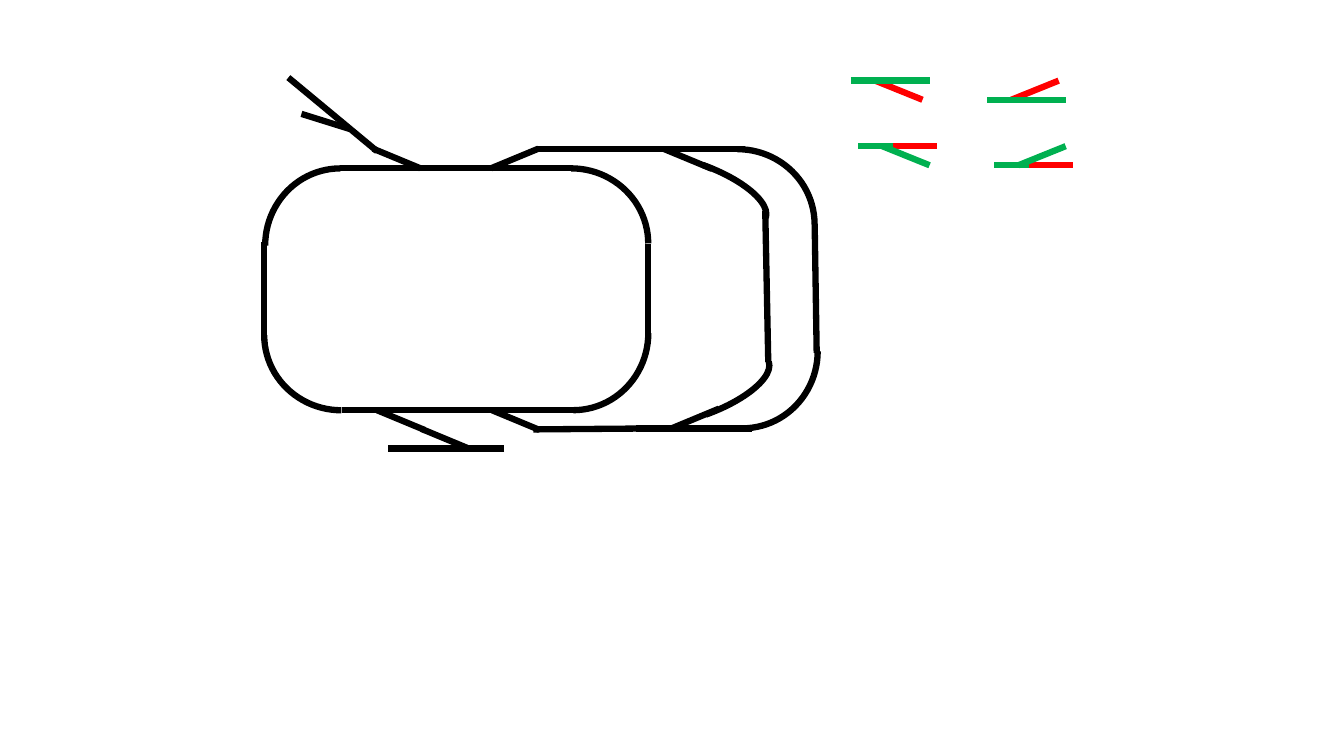
from lxml import etree
from pptx import Presentation
from pptx import util as u
from pptx.dml import color
from pptx.enum import shapes
from pptx.oxml import ns

BLACK, RED, GREEN = "000000", "FF0000", "00B050"


def rgb(value):
    """Turn a hex string into a colour."""
    return color.RGBColor.from_string(value)


class TrackPlan:
    """Draws the parts of a railway layout on one slide."""

    def __init__(self, slide, width=4.5):
        self.slide = slide
        self.width = u.Pt(width)

    def ink(self, part, hue):
        """Apply the track stroke to a part."""
        part.line.color.rgb = rgb(hue)
        part.line.width = self.width

    def rails(self, *tracks):
        """Draw straight tracks, grouped when there are several."""
        parent = self.slide.shapes
        if len(tracks) > 1:
            parent = parent.add_group_shape().shapes
        for hue, *ends in tracks:
            rail = parent.add_connector(
                shapes.MSO_CONNECTOR.STRAIGHT, *map(u.Inches, ends))
            self.ink(rail, hue)
            etree.SubElement(rail._element.spPr, ns.qn("a:effectLst"))

    def curve(self, left, top, turn, height=1.49, flipped=False):
        """Draw a quarter curve of track."""
        bend = self.slide.shapes.add_shape(
            shapes.MSO_SHAPE.ARC, *map(u.Inches, (left, top, 1.53, height)))
        bend.shadow.inherit = False
        bend.fill.background()
        self.ink(bend, BLACK)
        bend.rotation = turn
        if flipped:
            bend._element.spPr.xfrm.set("flipV", "1")

    def turnout(self, x, y, ahead, side):
        """Draw a main track with a branch leaving it."""
        self.rails(
            (BLACK, x, y, x + 1.15 * ahead, y),
            (BLACK, x + 0.35 * ahead, y, x + 0.82 * ahead, y + 0.195 * side))

    def switch_key(self, x, y, side, diverging):
        """Draw a switch with its open route in green."""
        main = (x, y, x + 0.78, y)
        branch = (x + 0.24, y, x + 0.71, y + 0.19 * side)
        if diverging:
            self.rails((RED, *main), (GREEN, *branch),
                       (GREEN, x, y, x + 0.35, y))
        else:
            self.rails((RED, *branch), (GREEN, *main))


def main():
    """Build the track plan slide."""
    deck = Presentation()
    deck.slide_width, deck.slide_height = u.Inches(13.33), u.Inches(7.5)
    plan = TrackPlan(deck.slides.add_slide(deck.slide_layouts[6]))

    inner_loop = [(4.9, 1.67, 0), (2.62, 2.58, 180),
                  (4.92, 2.56, 90), (2.61, 1.69, 270)]
    outer_loop = [(6.55, 1.48, 0), (6.6, 2.74, 90)]
    for bend in inner_loop + outer_loop:
        plan.curve(*bend)
    plan.curve(6.11, 1.62, 19.7, height=0.57)
    plan.curve(6.14, 3.56, 340.3, height=0.57, flipped=True)

    turnouts = [(4.52, 1.67, -1, -1), (4.52, 1.67, 1, -1),
                (3.39, 4.07, 1, 1), (4.53, 4.07, 1, 1),
                (5, 4.45, -1, -1), (6.31, 4.25, 1, -1),
                (6.24, 1.48, 1, 1)]
    for turnout in turnouts:
        plan.turnout(*turnout)
    plan.rails((BLACK, 3.74, 1.5, 2.86, 0.77), (BLACK, 3.47, 1.28, 2.99, 1.13))

    straights = [(2.62, 2.4, 2.62, 3.35), (6.43, 2.42, 6.43, 3.37),
                 (5.33, 1.48, 6.55, 1.48), (5.29, 4.26, 6.52, 4.25),
                 (8.1, 3.5, 8.08, 2.22), (7.62, 3.59, 7.59, 2.09)]
    for ends in straights:
        plan.rails((BLACK, *ends))

    plan.switch_key(8.44, 0.8, 1, diverging=False)
    plan.switch_key(9.79, 0.99, -1, diverging=False)
    plan.switch_key(8.51, 1.45, 1, diverging=True)
    plan.switch_key(9.86, 1.64, -1, diverging=True)

    deck.save("out.pptx")


if __name__ == "__main__":
    main()
